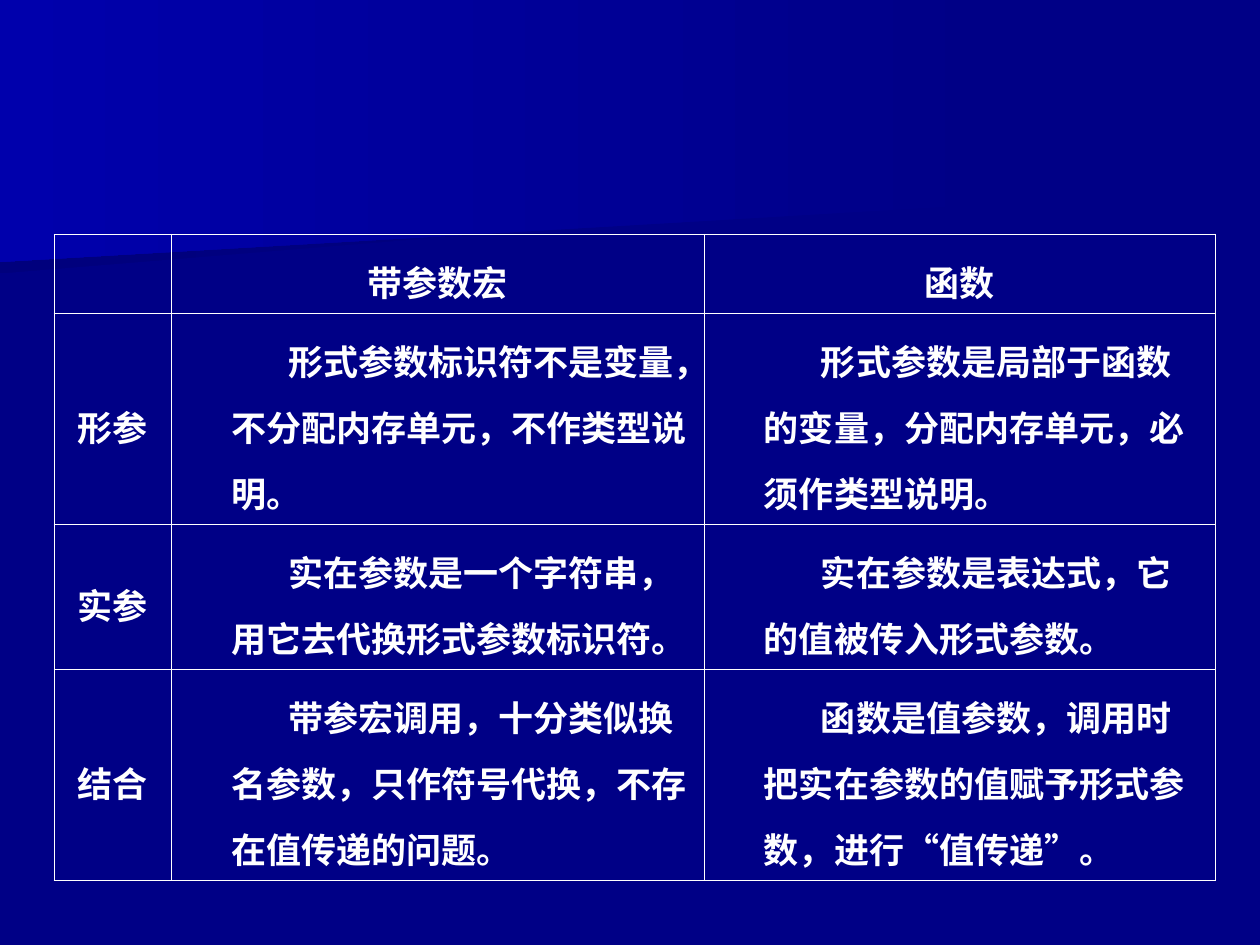
from lxml.etree import SubElement
from pptx import Presentation
from pptx.dml.color import RGBColor
from pptx.enum.text import MSO_ANCHOR as ANCHOR, PP_ALIGN as ALIGN
from pptx.oxml.ns import qn
from pptx.util import Cm, Pt

NAVY = RGBColor(0x00, 0x00, 0x86)
DEEP = RGBColor(0x00, 0x00, 0x7D)
BLUE = RGBColor(0x00, 0x00, 0xAC)
WHITE = RGBColor(0xFF, 0xFF, 0xFF)

FONT = {"name": "Times New Roman", "size": Pt(20), "bold": True}
MARGINS = {"margin_left": Cm(0.25), "margin_right": Cm(0.25),
           "margin_top": Cm(0.13), "margin_bottom": Cm(0.13)}
COL_WIDTHS = [2.36, 10.74, 10.31]
ROW_HEIGHTS = [1.37, 3.56, 2.46, 3.56]
ROWS = [
    ["", "带参数宏", "函数"],
    ["形参", "形式参数标识符不是变量，不分配内存单元，不作类型说明。",
     "形式参数是局部于函数的变量，分配内存单元，必须作类型说明。"],
    ["实参", "实在参数是一个字符串，用它去代换形式参数标识符。",
     "实在参数是表达式，它的值被传入形式参数。"],
    ["结合", "带参宏调用，十分类似换名参数，只作符号代换，不存在值传递的问题。",
     "函数是值参数，调用时把实在参数的值赋予形式参数，进行“值传递”。"],
]
# Background bands: outline in cm, then right and left gradient colours
BANDS = [
    ([(19.76, 3.89), (0, 5.51), (0, 2.57), (19.79, 2.57), (19.79, 3.25)], NAVY, DEEP),
    ([(20.12, 4.11), (0, 5.28), (0, 0), (20.12, 0)], NAVY, BLUE),
]


def add_borders(cell):
    tc_pr = cell._tc.get_or_add_tcPr()
    for side in ("lnL", "lnR", "lnT", "lnB"):
        ln = SubElement(tc_pr, qn(f"a:{side}"), w=str(Pt(0.45)))
        fill = SubElement(ln, qn("a:solidFill"))
        SubElement(fill, qn("a:srgbClr"), val=str(WHITE))


prs = Presentation()
prs.slide_width, prs.slide_height = Cm(25.4), Cm(19.05)
s = prs.slides.add_slide(prs.slide_layouts[6])
s.background.fill.solid()
s.background.fill.fore_color.rgb = NAVY

for outline, right, left in BANDS:
    pts = [(Cm(x), Cm(y)) for x, y in outline]
    builder = s.shapes.build_freeform(*pts[0])
    builder.add_line_segments(pts[1:], close=True)
    sp = builder.convert_to_shape()
    sp.shadow.inherit = False
    sp.line.fill.background()
    sp.fill.gradient()
    sp.fill.gradient_angle = 180
    for stop, color in zip(sp.fill.gradient_stops, (right, left)):
        stop.color.rgb = color

frame = s.shapes.add_table(len(ROWS), len(COL_WIDTHS), Cm(1.09), Cm(4.72),
                           Cm(sum(COL_WIDTHS)), Cm(sum(ROW_HEIGHTS)))
table = frame.table
table.first_row = table.horz_banding = False
for col, width in zip(table.columns, COL_WIDTHS):
    col.width = Cm(width)
for row, height in zip(table.rows, ROW_HEIGHTS):
    row.height = Cm(height)

for i, texts in enumerate(ROWS):
    for j, text in enumerate(texts):
        cell = table.cell(i, j)
        add_borders(cell)
        cell.fill.background()
        for key, value in MARGINS.items():
            setattr(cell, key, value)
        if i and not j:
            cell.vertical_anchor = ANCHOR.MIDDLE
        p = cell.text_frame.paragraphs[0]
        p.line_spacing = 1.3
        if i and j:
            p.alignment = ALIGN.LEFT
            p_pr = p._p.get_or_add_pPr()
            p_pr.set("marL", str(Cm(0.96)))
            p_pr.set("indent", str(Cm(1.15)))
        else:
            p.alignment = ALIGN.CENTER
        if text:
            r = p.add_run()
            r.text = text
            for key, value in FONT.items():
                setattr(r.font, key, value)
            r.font.color.rgb = WHITE

prs.save("out.pptx")
